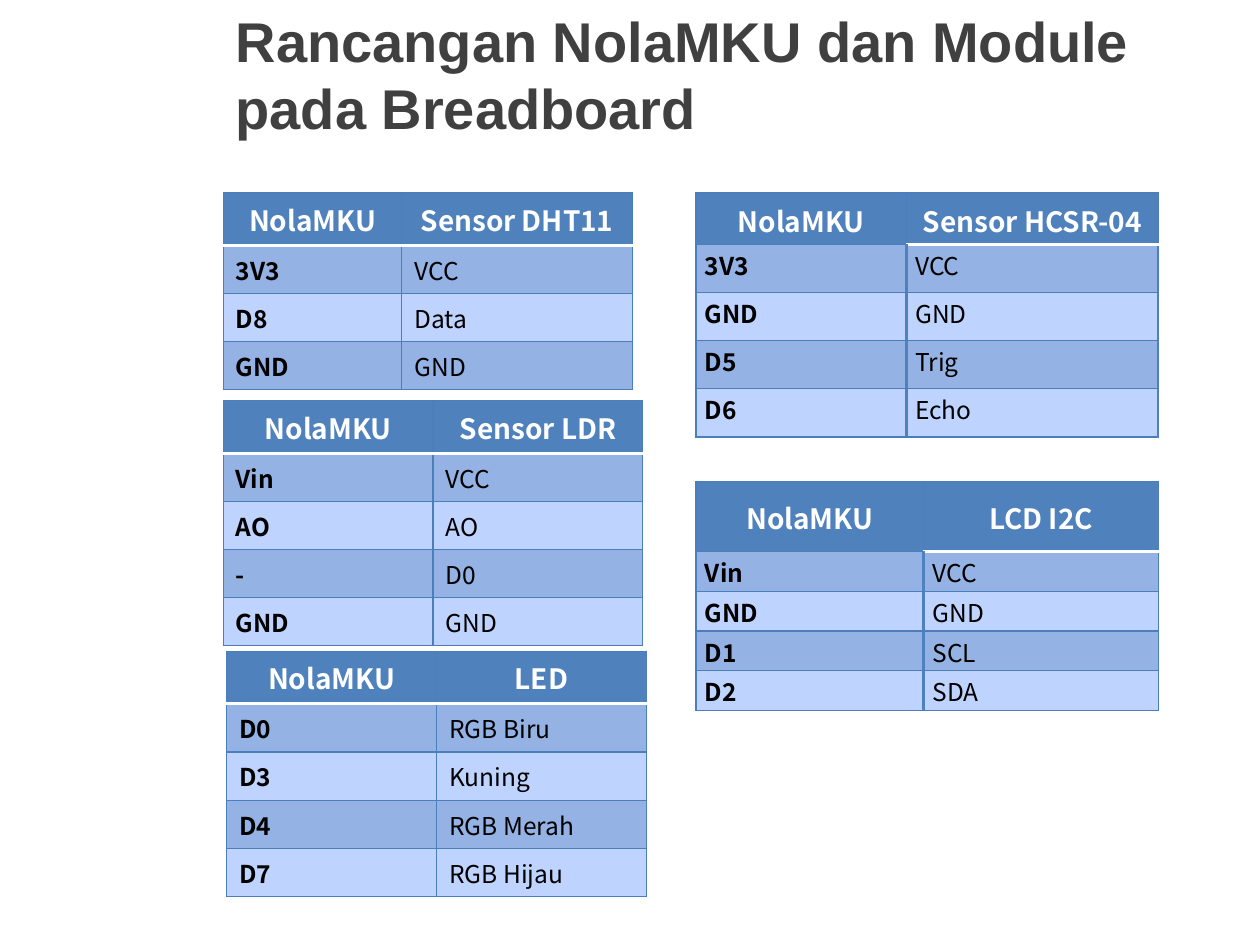
from pptx import Presentation
from pptx.dml.color import RGBColor as Rgb
from pptx.enum.text import MSO_ANCHOR as Anchor, PP_ALIGN as Align
from pptx.oxml import parse_xml
from pptx.oxml.ns import nsdecls
from pptx.util import Cm, Pt


class Deck:
    """Holds the style and the current slide."""

    hues = {
        "title": "404040", "head": "4F81BD", "dark": "94B2E4", "light": "BFD3FF",
        "line": "4B7EBC", "white": "FFFFFF", "black": "000000",
    }
    face = "Noto Sans CJK KR"
    board = "NolaMKU"

    def __init__(self):
        self.show = Presentation()
        self.show.slide_width, self.show.slide_height = Cm(25.4), Cm(19.05)
        self.slide = self.show.slides.add_slide(self.show.slide_layouts[6])

    def style(self, para, size, hue, bold, face):
        font = para.font
        font.size, font.bold, font.name = Pt(size), bold, face
        font.color.rgb = Rgb.from_string(self.hues[hue])

    def title(self, text, left, top, width, height):
        frame = self.slide.shapes.add_textbox(
            Cm(left), Cm(top), Cm(width), Cm(height)).text_frame
        frame.word_wrap = True
        frame.vertical_anchor = Anchor.MIDDLE
        frame.text = text
        self.style(frame.paragraphs[0], 32, "title", True, "Arial")

    def edges(self, cell, sides):
        props = cell._tc.get_or_add_tcPr()
        for side in "LRTB":
            hue, width = sides.get(side, ("line", 0.75))
            props.append(parse_xml(
                f'<a:ln{side} {nsdecls("a")} w="{Pt(width)}"><a:solidFill>'
                f'<a:srgbClr val="{self.hues[hue]}"/></a:solidFill></a:ln{side}>'))

    def cell(self, cell, text, row, col, tight, rim):
        sides = {}
        if row < 2 and (col or not tight):
            sides["B" if row == 0 else "T"] = ("white", 2)
        if tight and row:
            sides["L" if col else "R"] = ("head", 2)
        if col and rim:
            sides["R"] = ("head", rim)
        self.edges(cell, sides)
        cell.fill.solid()
        tone = "head" if row == 0 else "dark" if row % 2 else "light"
        cell.fill.fore_color.rgb = Rgb.from_string(self.hues[tone])
        cell.text = text
        para = cell.text_frame.paragraphs[0]
        if tight:
            cell.margin_left = cell.margin_right = Cm(0.18)
            cell.margin_top = cell.margin_bottom = 0
            para.line_spacing = 1.07
        if row == 0:
            para.alignment = Align.CENTER
            if tight:
                cell.vertical_anchor = Anchor.MIDDLE
            self.style(para, 16, "white", True, self.face)
        else:
            self.style(para, 14, "black", col == 0, self.face)

    def table(self, part, pins, left, top, cols, head=1.06, step=0.97,
              tight=False, rim=0):
        data = [(self.board, part), *pins]
        tall = head + step * len(pins)
        table = self.slide.shapes.add_table(
            len(data), 2, Cm(left), Cm(top), Cm(sum(cols)), Cm(tall)).table
        table.horz_banding = False
        for col, width in zip(table.columns, cols):
            col.width = Cm(width)
        for i, pair in enumerate(data):
            table.rows[i].height = Cm(step if i else head)
            for j, text in enumerate(pair):
                self.cell(table.cell(i, j), text, i, j, tight, rim)


def main():
    deck = Deck()
    deck.title(f"Rancangan {deck.board} dan Module\vpada Breadboard",
               4.5, 0, 20.9, 2.97)
    deck.table("Sensor DHT11", [("3V3", "VCC"), ("D8", "Data"), ("GND", "GND")],
               4.5, 3.89, (3.6, 4.65))
    deck.table("Sensor LDR",
               [("Vin", "VCC"), ("AO", "AO"), ("-", "D0"), ("GND", "GND")],
               4.5, 8.08, (4.23, 4.23))
    deck.table("LED", [("D0", "RGB Biru"), ("D3", "Kuning"),
                       ("D4", "RGB Merah"), ("D7", "RGB Hijau")],
               4.57, 13.13, (4.23, 4.23))
    deck.table("LCD I2C",
               [("Vin", "VCC"), ("GND", "GND"), ("D1", "SCL"), ("D2", "SDA")],
               14.03, 9.7, (4.59, 4.73), 1.42, 0.8, True)
    deck.table("Sensor HCSR-04",
               [("3V3", "VCC"), ("GND", "GND"), ("D5", "Trig"), ("D6", "Echo")],
               14.03, 3.89, (4.24, 5.08), 1.04, 0.97, True, 1.5)
    deck.show.save("out.pptx")


if __name__ == "__main__":
    main()
